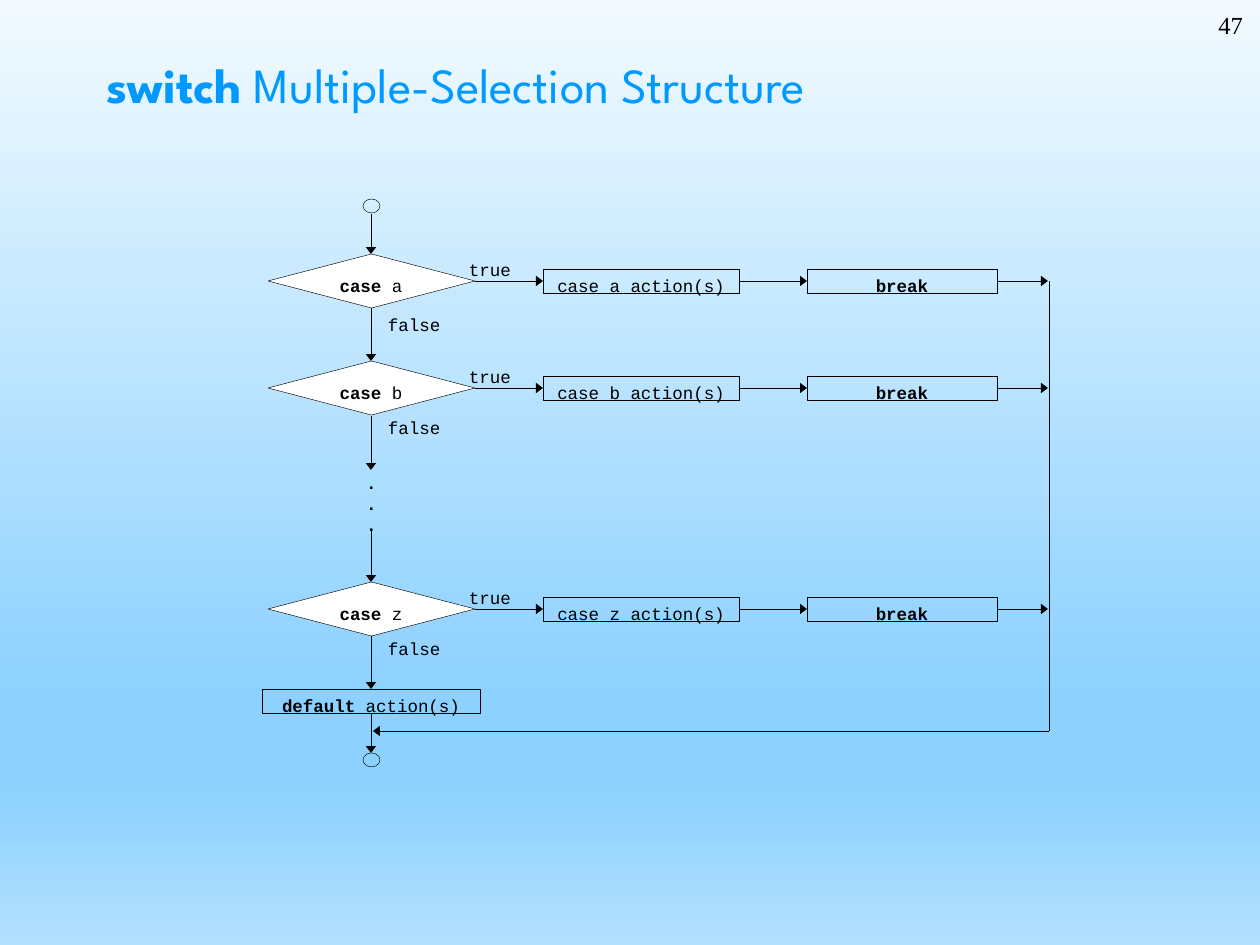
from lxml.etree import SubElement
from pptx import Presentation
from pptx.dml.color import RGBColor
from pptx.enum.shapes import MSO_CONNECTOR, MSO_SHAPE
from pptx.enum.text import MSO_ANCHOR, PP_ALIGN
from pptx.oxml.ns import qn
from pptx.util import Pt

PX = 914400 // 126
BLACK = RGBColor(0x00, 0x00, 0x00)
WHITE = RGBColor(0xFF, 0xFF, 0xFF)
TITLE_BLUE = RGBColor(0x00, 0x99, 0xFF)
BACKGROUND = [(0, "F2FAFF"), (74, "8CD1FF"), (83, "8CD1FF"), (100, "B3E0FF")]

# Runs are (text, bold)
TITLE = [[("switch", True), (" Multiple-Selection Structure", False)]]
PAGE = [[("47", False)]]
DOTS = [[(".", True)]] * 3
DEFAULT = [[("default", True), (" action(s)", False)]]
# Case letter, centre line, top of its "false" label
CASES = [("a", 281, 314), ("b", 388, 417), ("z", 609, 638)]

AXIS_X, BUS_X, MERGE_Y = 371, 1049, 731
DIAMOND = (268, 207, 54)  # left, width, height
ACTION = (543, 196)       # left, width
BREAK = (807, 190)
BOX_H = 24
DEFAULT_BOX = (262, 689, 218, BOX_H)
CIRCLE_W, CIRCLE_H = 17, 14
CIRCLE_TOPS = [199, 753]
# Start and end of each downward arrow on the main axis
DOWN_ARROWS = [(214, 254), (308, 361), (416, 470), (529, 582), (636, 689), (713, 753)]


def emu(*lengths):
    return [n * PX for n in lengths]


def set_background(slide):
    fill = slide.background.fill
    fill.gradient()
    fill.gradient_angle = 270
    stops = slide.background._cSld.find(".//" + qn("a:gsLst"))
    for stop in list(stops):
        stops.remove(stop)
    for percent, color in BACKGROUND:
        stop = SubElement(stops, qn("a:gs"), pos=str(percent * 1000))
        SubElement(stop, qn("a:srgbClr"), val=color)


def add_text(slide, box, paragraphs, size=10, font="Courier New", color=BLACK,
             align=PP_ALIGN.LEFT, anchor=MSO_ANCHOR.TOP, inset=(0, 0)):
    tf = slide.shapes.add_textbox(*emu(*box)).text_frame
    tf.word_wrap = True
    tf.vertical_anchor = anchor
    tf.margin_left = tf.margin_right = inset[0] * PX
    tf.margin_top = tf.margin_bottom = inset[1] * PX
    for i, runs in enumerate(paragraphs):
        p = tf.add_paragraph() if i else tf.paragraphs[0]
        p.alignment = align
        for text, bold in runs:
            r = p.add_run()
            r.text = text
            r.font.size, r.font.name, r.font.bold = Pt(size), font, bold
            r.font.color.rgb = color


def add_outline(slide, kind, box, fill=None):
    sp = slide.shapes.add_shape(kind, *emu(*box))
    sp.shadow.inherit = False
    if fill is None:
        sp.fill.background()
    else:
        sp.fill.solid()
        sp.fill.fore_color.rgb = fill
    sp.line.color.rgb = BLACK
    sp.line.width = Pt(0.25)


def add_line(slide, x1, y1, x2, y2, arrow=True):
    line = slide.shapes.add_connector(MSO_CONNECTOR.STRAIGHT, *emu(x1, y1, x2, y2))
    line.line.color.rgb = BLACK
    line.line.width = Pt(0.25)
    if arrow:
        SubElement(line.line._get_or_add_ln(), qn("a:tailEnd"),
                   type="triangle", w="med", len="sm")
    SubElement(line._element.spPr, qn("a:effectLst"))


def add_box(slide, box, runs):
    x, y, w, h = box
    add_text(slide, (x + 6, y + 6, w - 12, h - 7), [runs], align=PP_ALIGN.CENTER)
    add_outline(slide, MSO_SHAPE.RECTANGLE, box)


def add_case(slide, letter, y, false_top):
    """Draw one row: test, action, break and the arrows between them."""
    left, width, height = DIAMOND
    right = left + width
    add_outline(slide, MSO_SHAPE.DIAMOND, (left, y - height // 2, width, height), WHITE)
    add_text(slide, (left + 34, y - 6, width - 69, 18),
             [[("case", True), (f" {letter}", False)]], align=PP_ALIGN.CENTER)
    add_text(slide, (right - 6, y - 22, 60, 26), [[("true", False)]])
    add_text(slide, (AXIS_X + 17, false_top, 74, 26), [[("false", False)]])
    columns = [(ACTION, [(f"case {letter} action(s)", False)]), (BREAK, [("break", True)])]
    for (x, w), runs in columns:
        add_line(slide, right, y, x, y)
        add_box(slide, (x, y - BOX_H // 2, w, BOX_H), runs)
        right = x + w
    add_line(slide, right, y, BUS_X - 1, y)


def main():
    prs = Presentation()
    prs.slide_width, prs.slide_height = emu(1260, 945)
    slide = prs.slides.add_slide(prs.slide_layouts[6])
    set_background(slide)

    add_text(slide, (994, 4, 262, 63), PAGE, size=14, font="Times New Roman",
             align=PP_ALIGN.RIGHT, inset=(13, 6))
    add_text(slide, (94, 10, 1071, 147), TITLE, size=28, font="League Spartan",
             color=TITLE_BLUE, anchor=MSO_ANCHOR.MIDDLE, inset=(13, 6))

    for top in CIRCLE_TOPS:
        add_outline(slide, MSO_SHAPE.OVAL,
                    (AXIS_X - CIRCLE_W // 2, top, CIRCLE_W, CIRCLE_H))
    for start, end in DOWN_ARROWS:
        add_line(slide, AXIS_X, start, AXIS_X, end)
    for case in CASES:
        add_case(slide, *case)
    add_text(slide, (AXIS_X - 8, 472, 17, 66), DOTS, align=PP_ALIGN.CENTER)
    add_box(slide, DEFAULT_BOX, DEFAULT[0])

    add_line(slide, BUS_X, CASES[0][1], BUS_X, MERGE_Y, arrow=False)
    add_line(slide, BUS_X, MERGE_Y, AXIS_X + 2, MERGE_Y)
    prs.save("out.pptx")


if __name__ == "__main__":
    main()
